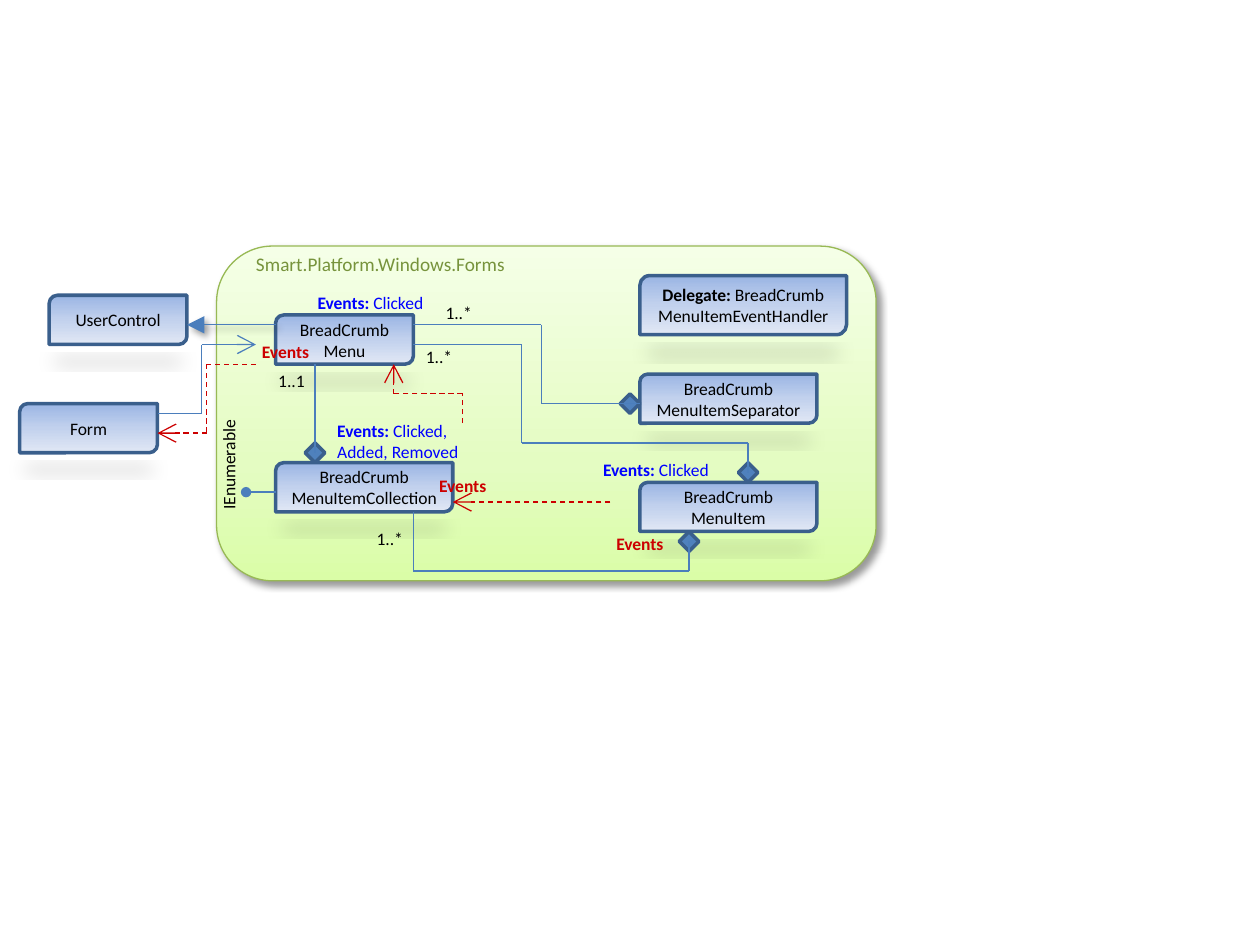
from dataclasses import dataclass
from itertools import pairwise
from typing import Any

from lxml.etree import SubElement
from pptx import Presentation
from pptx.dml.color import RGBColor
from pptx.enum.dml import MSO_LINE
from pptx.enum.shapes import MSO_CONNECTOR, MSO_SHAPE
from pptx.enum.text import MSO_ANCHOR, PP_ALIGN
from pptx.oxml.ns import qn
from pptx.util import Inches, Pt

COLORS = {
    "panel_line": "98B955", "title": "77933C", "box_line": "3A5F8C",
    "diamond": "4F81BD", "link": "4B7EBC", "event": "CC0000",
    "raised": "0000FF", "text": "000000", "shadow": "000000",
}
PANEL_STOPS = [(0, "DAFDA7"), (35, "E4FCC2"), (100, "F5FFE7")]
BOX_STOPS = [(0, "9AB5E4"), (50, "C2D1ED"), (100, "E1E8F5")]
# Shadows: opacity %, then the attributes of a:outerShdw
SOFT = (40, {"blurRad": Pt(4), "dist": Pt(3), "dir": 45 * 60000, "algn": "tl"})
BELOW = (15, {"blurRad": Pt(12), "dist": Pt(7), "dir": 90 * 60000,
              "sx": 90000, "sy": -19000})
FONT = "Calibri"
COLUMNS = 128  # square grid cells across the slide width
SLIDE_WIDTH, SLIDE_HEIGHT = 10, 7.5


@dataclass
class Region:
    """A part of the slide; its contents are placed in cells from its corner."""
    page: Any
    left: float
    top: float
    width: float
    height: float

    def point(self, column, row):
        return cells(self.left + column), cells(self.top + row)

    def area(self, column, row, width, height):
        return *self.point(column, row), cells(width), cells(height)


def cells(count):
    return Inches(count * SLIDE_WIDTH / COLUMNS)


def rgb(name):
    return RGBColor.from_string(COLORS[name])


# --- Formatting ---
def add_effects(shape, shadow=None):
    effects = SubElement(shape._element.spPr, qn("a:effectLst"))
    if shadow:
        opacity, settings = shadow
        outer = SubElement(effects, qn("a:outerShdw"),
                           {key: str(value) for key, value in settings.items()},
                           rotWithShape="0")
        color = SubElement(outer, qn("a:srgbClr"), val=COLORS["shadow"])
        SubElement(color, qn("a:alpha"), val=str(opacity * 1000))


def fill_gradient(shape, stops, angle):
    shape.fill.gradient()
    shape.fill.gradient_angle = angle
    stop_list = shape._element.spPr.find(".//" + qn("a:gsLst"))
    for stop in list(stop_list):
        stop_list.remove(stop)
    for position, color in stops:
        stop = SubElement(stop_list, qn("a:gs"), pos=str(position * 1000))
        SubElement(stop, qn("a:srgbClr"), val=color)


def set_outline(shape, color, width):
    shape.line.color.rgb = rgb(color)
    shape.line.width = Pt(width)


def write(frame, lines, color="text", size=10, bold_lead="", centered=False):
    frame.word_wrap = True
    for index, line in enumerate(lines):
        para = frame.paragraphs[0] if index == 0 else frame.add_paragraph()
        para.alignment = PP_ALIGN.CENTER if centered else PP_ALIGN.LEFT
        lead = bold_lead if index == 0 else ""
        for text, bold in ((lead, True), (line.removeprefix(lead), False)):
            if text:
                span = para.add_run()
                span.text = text
                span.font.name, span.font.size = FONT, Pt(size)
                span.font.bold = bold
                span.font.color.rgb = rgb(color)


# --- Diagram parts ---
def add_class(region, column, row, width, height, lines, bold_lead=""):
    box = region.page.shapes.add_shape(
        MSO_SHAPE.ROUND_2_DIAG_RECTANGLE, *region.area(column, row, width, height))
    fill_gradient(box, BOX_STOPS, 270)
    set_outline(box, "box_line", 2)
    add_effects(box, BELOW)
    box.text_frame.vertical_anchor = MSO_ANCHOR.MIDDLE
    write(box.text_frame, lines, bold_lead=bold_lead, centered=True)


def add_diamond(region, column, row):
    diamond = region.page.shapes.add_shape(
        MSO_SHAPE.DIAMOND, *region.area(column, row, 2, 2))
    diamond.shadow.inherit = False
    diamond.fill.solid()
    diamond.fill.fore_color.rgb = rgb("diamond")
    set_outline(diamond, "box_line", 2)


def add_label(region, column, row, width, text, height=3.5, **style):
    label = region.page.shapes.add_textbox(*region.area(column, row, width, height))
    write(label.text_frame, [text], **style)
    return label


def add_route(region, points, color="link", end=None, size="lg", shadow=None):
    """Join the points with straight lines; the last one carries the end mark."""
    for start, stop in pairwise(points):
        line = region.page.shapes.add_connector(
            MSO_CONNECTOR.STRAIGHT, *region.point(*start), *region.point(*stop))
        set_outline(line, color, 0.75)
        if color == "event":
            line.line.dash_style = MSO_LINE.DASH
        if end and stop == points[-1]:
            SubElement(line.line._get_or_add_ln(), qn("a:tailEnd"),
                       type=end, w=size, len=size)
        add_effects(line, shadow)


# --- Regions ---
def draw_namespace(region):
    panel = region.page.shapes.add_shape(
        MSO_SHAPE.ROUNDED_RECTANGLE, *region.area(0, 0, region.width, region.height))
    fill_gradient(panel, PANEL_STOPS, 90)
    set_outline(panel, "panel_line", 0.75)
    add_effects(panel, SOFT)
    add_label(region, 2.75, 0, 43.4, "Smart.Platform.Windows.Forms", 3.7,
              color="title", size=11)

    # Classes
    add_class(region, 6, 7, 14, 5, ["BreadCrumb", "Menu"])
    add_class(region, 43, 13, 18, 5, ["BreadCrumb", "MenuItemSeparator"])
    add_class(region, 43, 3, 21, 6,
              ["Delegate: BreadCrumb", "MenuItemEventHandler"], "Delegate: ")
    add_class(region, 43, 24, 18, 5, ["BreadCrumb", "MenuItem"])
    add_class(region, 6, 22, 18, 5, ["BreadCrumb", "MenuItemCollection"])

    # Aggregations
    for column, row in ((9, 20), (47, 29), (53, 22), (41, 15)):
        add_diamond(region, column, row)
    for points in (
        [(10, 21), (10, 12)],
        [(20, 27), (20, 33), (48, 33), (48, 30)],
        [(20, 10), (31, 10), (31, 20), (54, 20), (54, 23)],
        [(20, 8), (33, 8), (33, 16), (43, 16)],
    ):
        add_route(region, points)
    for column, row, text in ((5, 12, "1..1"), (15, 28, "1..*"),
                              (20, 9.5, "1..*"), (22, 5, "1..*")):
        add_label(region, column, row, 6, text)

    # Interface
    add_route(region, [(6, 25), (3, 25)], end="oval", size="med")
    add_label(region, -5.25, 19.8, 13, "IEnumerable").rotation = 270

    # Events
    add_route(region, [(40, 26), (24, 26)], "event", "arrow")
    add_route(region, [(25, 18), (25, 15), (18, 15), (18, 12)], "event", "arrow")
    for column, row in ((37, 28.5), (1, 9), (19, 22.6)):
        add_label(region, column, row, 12, "Events", color="event",
                  bold_lead="Events", centered=True)
    for column, row, width, height, names in (
        (9, 4, 14, 3.5, "Clicked"), (38, 21, 17, 3.5, "Clicked"),
        (11, 17, 17, 5.6, "Clicked, Added, Removed"),
    ):
        add_label(region, column, row, width, f"Events: {names}", height,
                  color="raised", bold_lead="Events:")


def draw_host(region):
    add_class(region, 3, 0, 14, 5, ["UserControl"])
    add_class(region, 0, 11, 14, 5, ["Form"])
    # Inheritance, event and use
    add_route(region, [(26, 3), (17, 3)], end="triangle", shadow=SOFT)
    add_route(region, [(24, 7), (19, 7), (19, 14), (14, 14)], "event", "arrow")
    add_route(region, [(14, 12), (18.5, 12), (18.5, 5), (24, 5)], end="arrow")


def main():
    deck = Presentation()
    deck.slide_width, deck.slide_height = Inches(SLIDE_WIDTH), Inches(SLIDE_HEIGHT)
    page = deck.slides.add_slide(deck.slide_layouts[6])
    draw_namespace(Region(page, 22, 25, 67, 34))
    draw_host(Region(page, 2, 30, 26, 16))
    deck.save("out.pptx")


if __name__ == "__main__":
    main()
